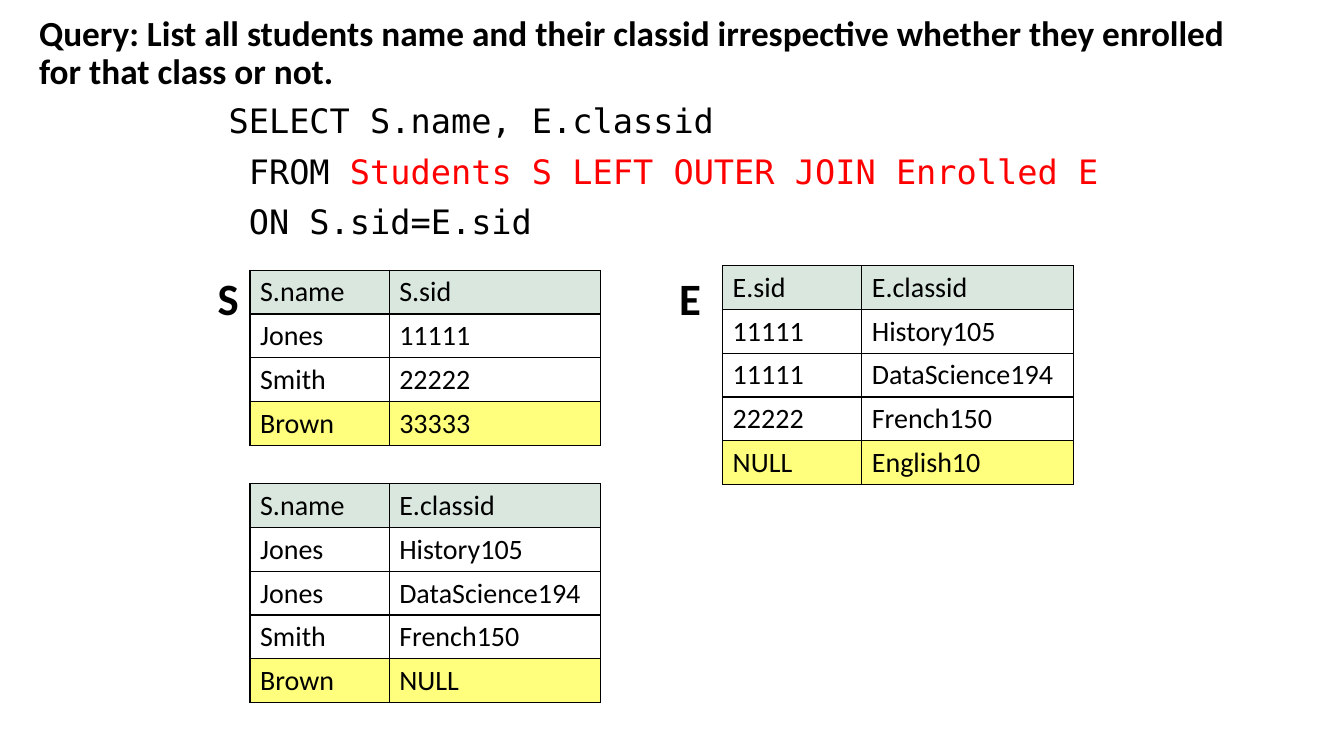
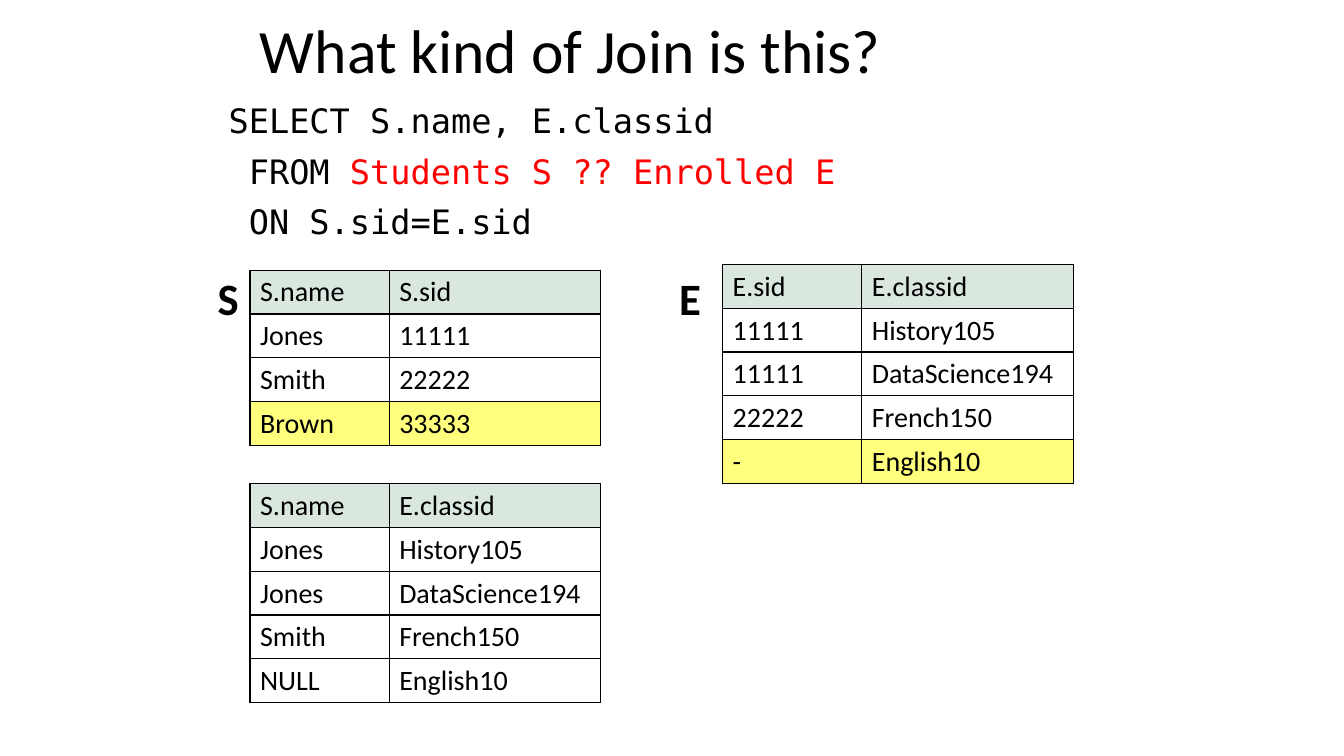
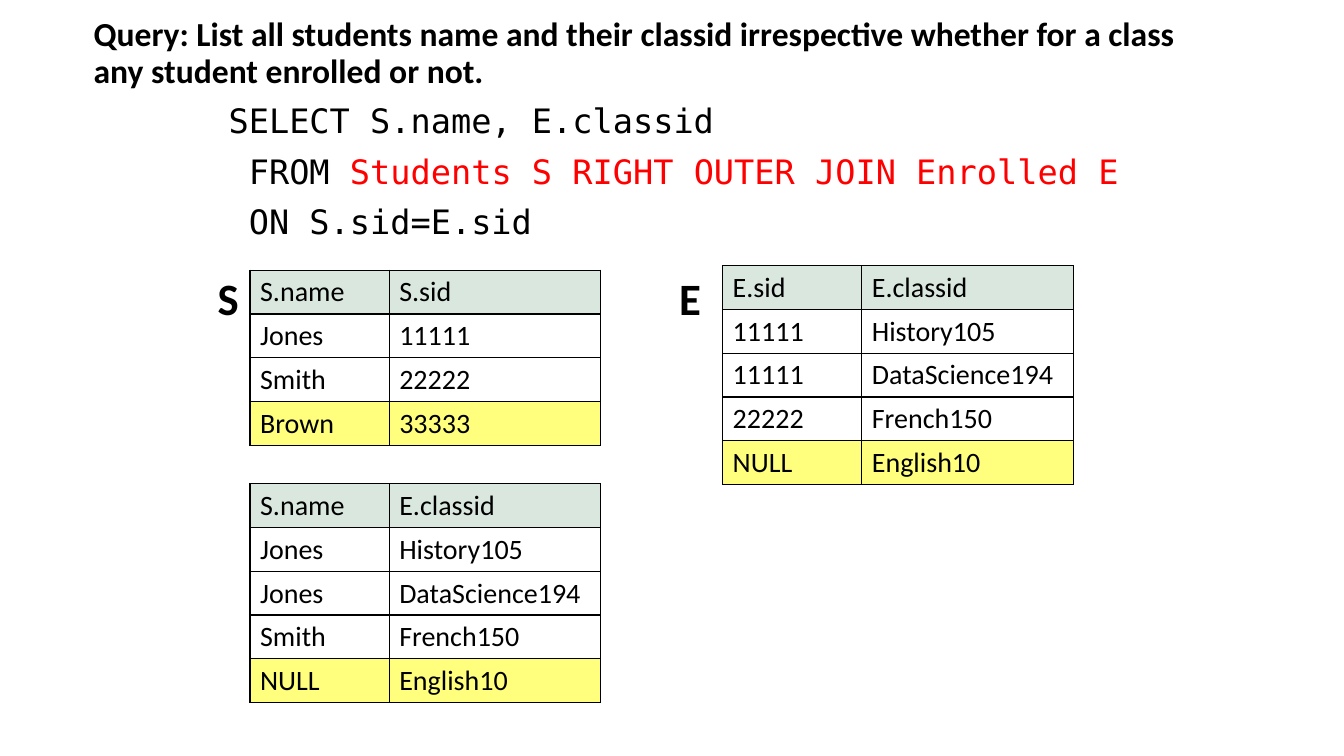
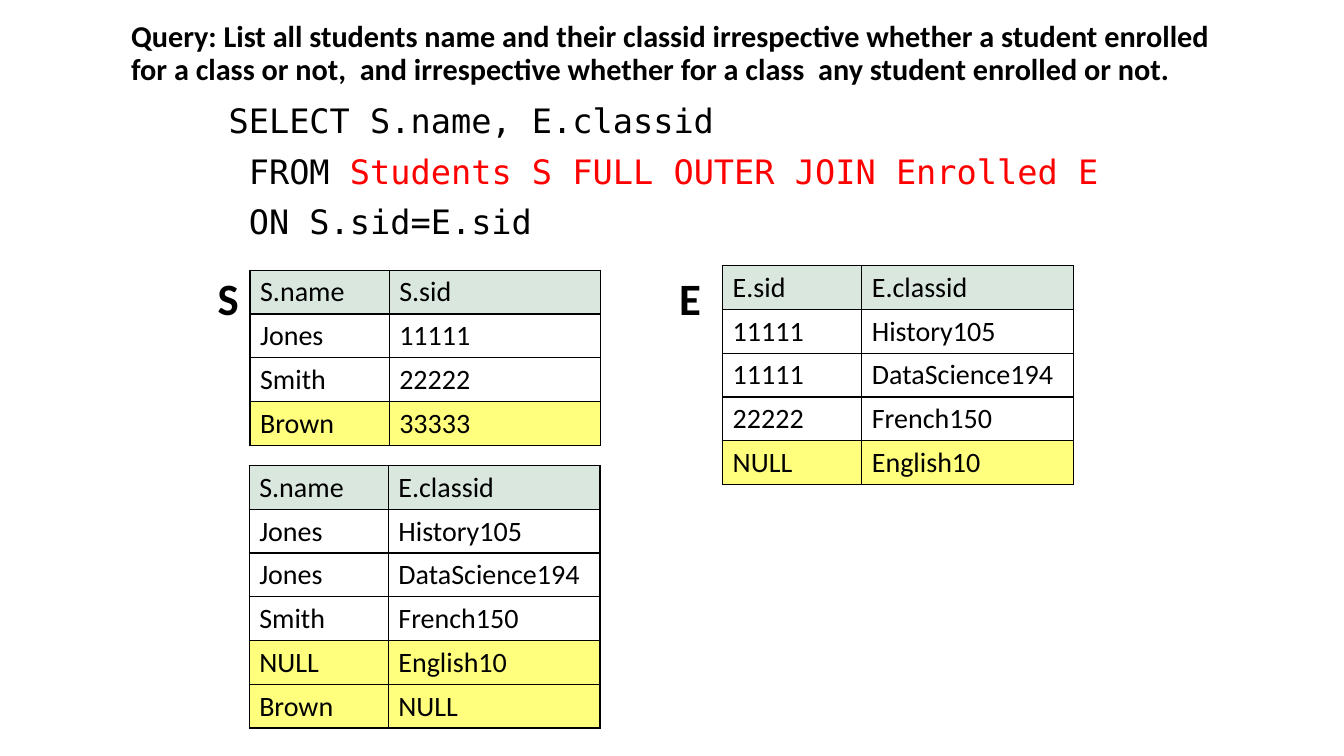
from lxml.etree import SubElement
from pptx import Presentation
from pptx.dml.color import RGBColor
from pptx.enum.text import MSO_ANCHOR, MSO_AUTO_SIZE
from pptx.oxml.ns import qn
from pptx.util import Pt


def color(hex_code):
    return RGBColor.from_string(hex_code)


def write(paragraph, text, *, size, font="Calibri", ink="000000", bold=False):
    """Append a formatted run to a paragraph."""
    run = paragraph.add_run()
    run.text = text
    run.font.name = font
    run.font.size = Pt(size)
    run.font.bold = bold
    run.font.color.rgb = color(ink)


class JoinDeck:
    HEADER = "D9E7DF"
    HIGHLIGHT = "FFFF7D"
    RED = "FF0000"
    BLACK = "000000"
    CODE_FONT = "DejaVu Sans Mono"
    COLUMNS = (99.4, 151.2)
    ROW_HEIGHT = 31.2

    def __init__(self):
        self.deck = Presentation()
        self.deck.slide_width, self.deck.slide_height = Pt(960), Pt(540)
        self.slide = None

    def new_slide(self):
        self.slide = self.deck.slides.add_slide(self.deck.slide_layouts[6])

    def text_frame(self, left, top, width, height, wrap=True):
        box = self.slide.shapes.add_textbox(Pt(left), Pt(top), Pt(width), Pt(height))
        box.text_frame.word_wrap = wrap
        return box.text_frame

    def title(self, text, left, width, size, bold=True):
        frame = self.text_frame(left, 5.8, width, 65.5)
        frame.vertical_anchor = MSO_ANCHOR.MIDDLE
        heading = frame.paragraphs[0]
        heading.line_spacing = 0.9
        write(heading, text, size=size, bold=bold)

    def query(self, join):
        frame = self.text_frame(156.2, 71.3, 661.7, 445.7)
        lines = (
            [("SELECT S.name, E.classid", self.BLACK)],
            [(" FROM ", self.BLACK), (f"Students S {join} Enrolled E", self.RED)],
            [(" ON S.sid=E.sid", self.BLACK)],
        )
        for index, pieces in enumerate(lines):
            line = frame.add_paragraph() if index else frame.paragraphs[0]
            line.line_spacing = 0.9
            line.space_before = Pt(10)
            for text, ink in pieces:
                write(line, text, size=24, font=self.CODE_FONT, ink=ink)

    def label(self, text, left, width):
        frame = self.text_frame(left, 190, width, 46, wrap=False)
        frame.auto_size = MSO_AUTO_SIZE.SHAPE_TO_FIT_TEXT
        write(frame.paragraphs[0], text, size=32, bold=True)

    def borders(self, cell):
        properties = cell._tc.get_or_add_tcPr()
        for position, side in enumerate(("a:lnL", "a:lnR", "a:lnT", "a:lnB")):
            line = SubElement(properties, qn(side), w=str(Pt(1)))
            fill = SubElement(line, qn("a:solidFill"))
            SubElement(fill, qn("a:srgbClr"), val=self.BLACK)
            properties.insert(position, line)

    def relation(self, rows, left, top, highlighted=1):
        """Draw a table whose last `highlighted` rows are yellow."""
        table = self.slide.shapes.add_table(
            len(rows), len(self.COLUMNS), Pt(left), Pt(top),
            Pt(sum(self.COLUMNS)), Pt(self.ROW_HEIGHT * len(rows))).table
        table.first_row = table.horz_banding = False
        for column, width in zip(table.columns, self.COLUMNS):
            column.width = Pt(width)
        for r, values in enumerate(rows):
            table.rows[r].height = Pt(self.ROW_HEIGHT)
            for c, value in enumerate(values):
                cell = table.cell(r, c)
                write(cell.text_frame.paragraphs[0], value, size=20)
                if r == 0 or r >= len(rows) - highlighted:
                    cell.fill.solid()
                    cell.fill.fore_color.rgb = color(self.HIGHLIGHT if r else self.HEADER)
                else:
                    cell.fill.background()
                self.borders(cell)


# Data shared by the slides
STUDENTS = [("S.name", "S.sid"), ("Jones", "11111"), ("Smith", "22222"), ("Brown", "33333")]
ENROLLED = [("E.sid", "E.classid"), ("11111", "History105"),
            ("11111", "DataScience194"), ("22222", "French150")]
MATCHED = [("S.name", "E.classid"), ("Jones", "History105"),
           ("Jones", "DataScience194"), ("Smith", "French150")]
NO_CLASS = ("Brown", "NULL")
NO_STUDENT = ("NULL", "English10")

# What differs from slide to slide
SLIDES = [
    dict(
        title=dict(text="Query: List all students name and their classid irrespective "
                        "whether they enrolled for that class or not.",
                   left=20.9, width=873.4, size=25.2),
        join="LEFT OUTER JOIN", extra=[NO_CLASS]),
    dict(
        title=dict(text="What kind of Join is this?",
                   left=178.6, width=610.6, size=44, bold=False),
        join="??", extra=[NO_STUDENT], highlighted=0,
        missing_sid="-", enrolled_top=189),
    dict(
        title=dict(text="Query: List all students name and their classid irrespective "
                        "whether for a class  any student enrolled or not.",
                   left=59.8, width=810, size=24),
        join="RIGHT OUTER JOIN", extra=[NO_STUDENT]),
    dict(
        title=dict(text="Query: List all students name and their classid irrespective "
                        "whether a student enrolled for a class or not,  and irrespective "
                        "whether for a class  any student enrolled or not.",
                   left=86.6, width=794.9, size=21.6),
        join="FULL OUTER JOIN", extra=[NO_STUDENT, NO_CLASS], highlighted=2,
        result_at=(178, 332.6)),
]


def add_join_slide(deck, title, join, extra, highlighted=1, missing_sid="NULL",
                   enrolled_top=189.8, result_at=(178.6, 345.6)):
    deck.new_slide()
    deck.title(**title)
    deck.query(join)
    # Source tables and the result of the join
    deck.relation(STUDENTS, 178.6, 193)
    deck.relation(ENROLLED + [(missing_sid, "English10")], 516.2, enrolled_top)
    deck.relation(MATCHED + extra, *result_at, highlighted)
    # Table names
    deck.label("E", 478.1, 30.2)
    deck.label("S", 148.3, 29.5)


def main():
    deck = JoinDeck()
    for content in SLIDES:
        add_join_slide(deck, **content)
    deck.deck.save("out.pptx")


if __name__ == "__main__":
    main()
